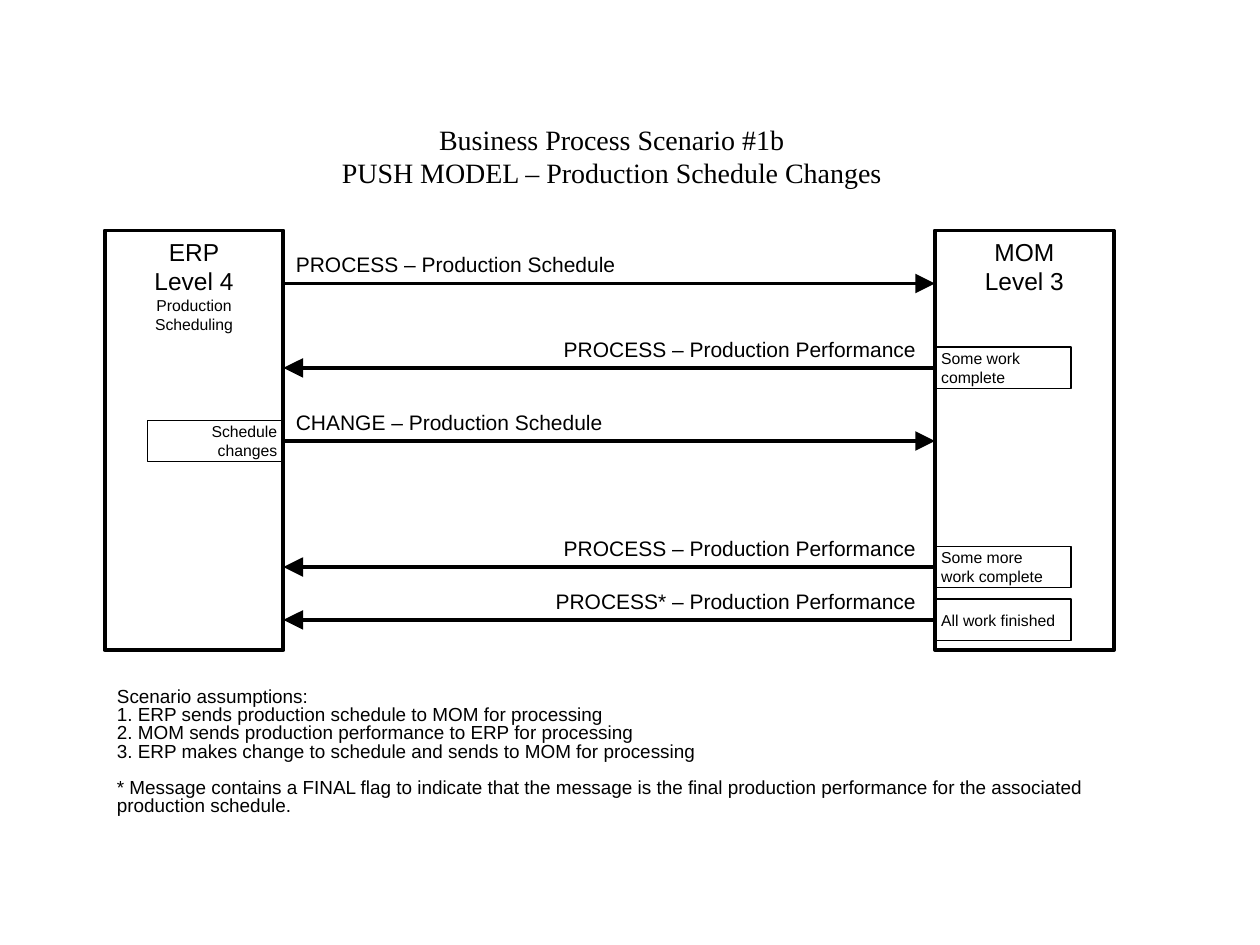
from dataclasses import dataclass

from lxml.etree import SubElement
from pptx import Presentation
from pptx.dml.color import RGBColor
from pptx.enum.shapes import MSO_CONNECTOR, MSO_SHAPE
from pptx.enum.text import MSO_ANCHOR, MSO_AUTO_SIZE, PP_ALIGN
from pptx.oxml.ns import qn
from pptx.shapes.autoshape import Shape
from pptx.slide import Slide
from pptx.util import Inches, Pt

BLACK = RGBColor(0, 0, 0)
WHITE = RGBColor(255, 255, 255)

ERP_LEFT, MOM_LEFT = 0.83, 7.42
TOP, WIDE, HIGH = 1.83, 1.42, 3.33
ERP_EDGE = ERP_LEFT + WIDE
NOTE_WIDE, NOTE_HIGH = 1.08, 0.33
LABEL_HIGH = 0.3
LABEL_RIGHT = 7.37

LABEL = dict(word_wrap=False, auto_size=MSO_AUTO_SIZE.SHAPE_TO_FIT_TEXT)
NOTE = dict(
    word_wrap=False,
    vertical_anchor=MSO_ANCHOR.MIDDLE,
    margin_left=Inches(0.05),
    margin_right=Inches(0.05),
)
BODY = dict(word_wrap=True, vertical_anchor=MSO_ANCHOR.TOP)
TITLE = BODY | LABEL


@dataclass
class Line:
    text: str
    size: float


@dataclass
class System:
    left: float
    lines: list[Line]


@dataclass
class Flow:
    y: float
    text: str
    width: float
    from_erp: bool
    note: list[str]


SYSTEMS = [
    System(ERP_LEFT, [Line("ERP", 14), Line("Level 4", 14), Line("Production Scheduling", 9)]),
    System(MOM_LEFT, [Line("MOM", 14), Line("Level 3", 14)]),
]

FLOWS = [
    Flow(2.25, "PROCESS – Production Schedule", 2.76, True, []),
    Flow(2.92, "PROCESS – Production Performance", 3.02, False, ["Some work", "complete"]),
    Flow(3.5, "CHANGE – Production Schedule", 2.67, True, ["Schedule", "changes"]),
    Flow(4.5, "PROCESS – Production Performance", 3.02, False, ["Some more", "work complete"]),
    Flow(4.92, "PROCESS* – Production Performance", 3.08, False, ["All work finished"]),
]

HEADING = ["Business Process Scenario #1b", "PUSH MODEL – Production Schedule Changes"]

REMARKS = [
    "Scenario assumptions:",
    "1. ERP sends production schedule to MOM for processing",
    "2. MOM sends production performance to ERP for processing",
    "3. ERP makes change to schedule and sends to MOM for processing",
    "* Message contains a FINAL flag to indicate that the message is the final "
    "production performance for the associated production schedule.",
]


def apply(target: object, values: dict) -> None:
    for name, value in values.items():
        setattr(target, name, value)


def write(shape: Shape, lines: list[Line], frame: dict, para: dict, face: str = "Arial") -> None:
    text = shape.text_frame
    text.text = "\n".join(line.text for line in lines)
    apply(text, frame)
    for item, line in zip(text.paragraphs, lines):
        apply(item, para)
        apply(item.font, dict(name=face, size=Pt(line.size)))
        item.font.color.rgb = BLACK


def add_box(slide: Slide, left: float, top: float, width: float, height: float,
            weight: float) -> Shape:
    box = slide.shapes.add_shape(
        MSO_SHAPE.RECTANGLE, Inches(left), Inches(top), Inches(width), Inches(height)
    )
    box.shadow.inherit = False
    box.fill.background()
    box.line.color.rgb = BLACK
    box.line.width = Pt(weight)
    return box


def add_text(slide: Slide, left: float, top: float, width: float, height: float) -> Shape:
    return slide.shapes.add_textbox(Inches(left), Inches(top), Inches(width), Inches(height))


def add_system(slide: Slide, system: System) -> None:
    box = add_box(slide, system.left, TOP, WIDE, HIGH, 2.25)
    box.fill.solid()
    box.fill.fore_color.rgb = WHITE
    write(box, system.lines, BODY, dict(alignment=PP_ALIGN.CENTER))


def add_flow(slide: Slide, flow: Flow) -> None:
    start, end = (ERP_EDGE, MOM_LEFT) if flow.from_erp else (MOM_LEFT, ERP_EDGE)
    arrow = slide.shapes.add_connector(
        MSO_CONNECTOR.STRAIGHT, Inches(start), Inches(flow.y), Inches(end), Inches(flow.y)
    )
    arrow.line.color.rgb = BLACK
    arrow.line.width = Pt(2.25)
    if flow.note:
        left = ERP_EDGE - NOTE_WIDE if flow.from_erp else MOM_LEFT
        note = add_box(slide, left, flow.y - NOTE_HIGH / 2, NOTE_WIDE, NOTE_HIGH, 0.75)
        align = PP_ALIGN.RIGHT if flow.from_erp else PP_ALIGN.LEFT
        write(note, [Line(text, 9) for text in flow.note], NOTE, dict(alignment=align))
        arrow.begin_connect(note, 3 if flow.from_erp else 1)
        arrow.end_y = arrow.begin_y
    props = arrow._element.spPr
    SubElement(props.find(qn("a:ln")), qn("a:tailEnd"), type="triangle", w="lg", len="lg")
    SubElement(props, qn("a:effectLst"))

    left = ERP_EDGE if flow.from_erp else LABEL_RIGHT - flow.width
    label = add_text(slide, left, flow.y - LABEL_HIGH, flow.width, LABEL_HIGH)
    align = PP_ALIGN.LEFT if flow.from_erp else PP_ALIGN.RIGHT
    write(label, [Line(flow.text, 12)], LABEL, dict(alignment=align))


def main() -> None:
    deck = Presentation()
    apply(deck, dict(slide_width=Inches(10), slide_height=Inches(7.5)))
    slide = deck.slides.add_slide(deck.slide_layouts[5])

    title = slide.shapes.title
    apply(title, dict(left=Inches(2.61), top=Inches(0.92),
                      width=Inches(4.49), height=Inches(0.64)))
    write(title, [Line(text, 16) for text in HEADING], TITLE,
          dict(alignment=PP_ALIGN.CENTER, space_before=Pt(0)), "Times New Roman")

    for system in SYSTEMS:
        add_system(slide, system)
    for flow in FLOWS:
        add_flow(slide, flow)

    notes = add_text(slide, ERP_LEFT, 5.42, 8, 1.5)
    write(notes, [Line(text, 10.8) for text in REMARKS], BODY, dict(line_spacing=0.8))
    notes.text_frame.paragraphs[-1].space_before = Pt(10.5)

    deck.save("out.pptx")


if __name__ == "__main__":
    main()
